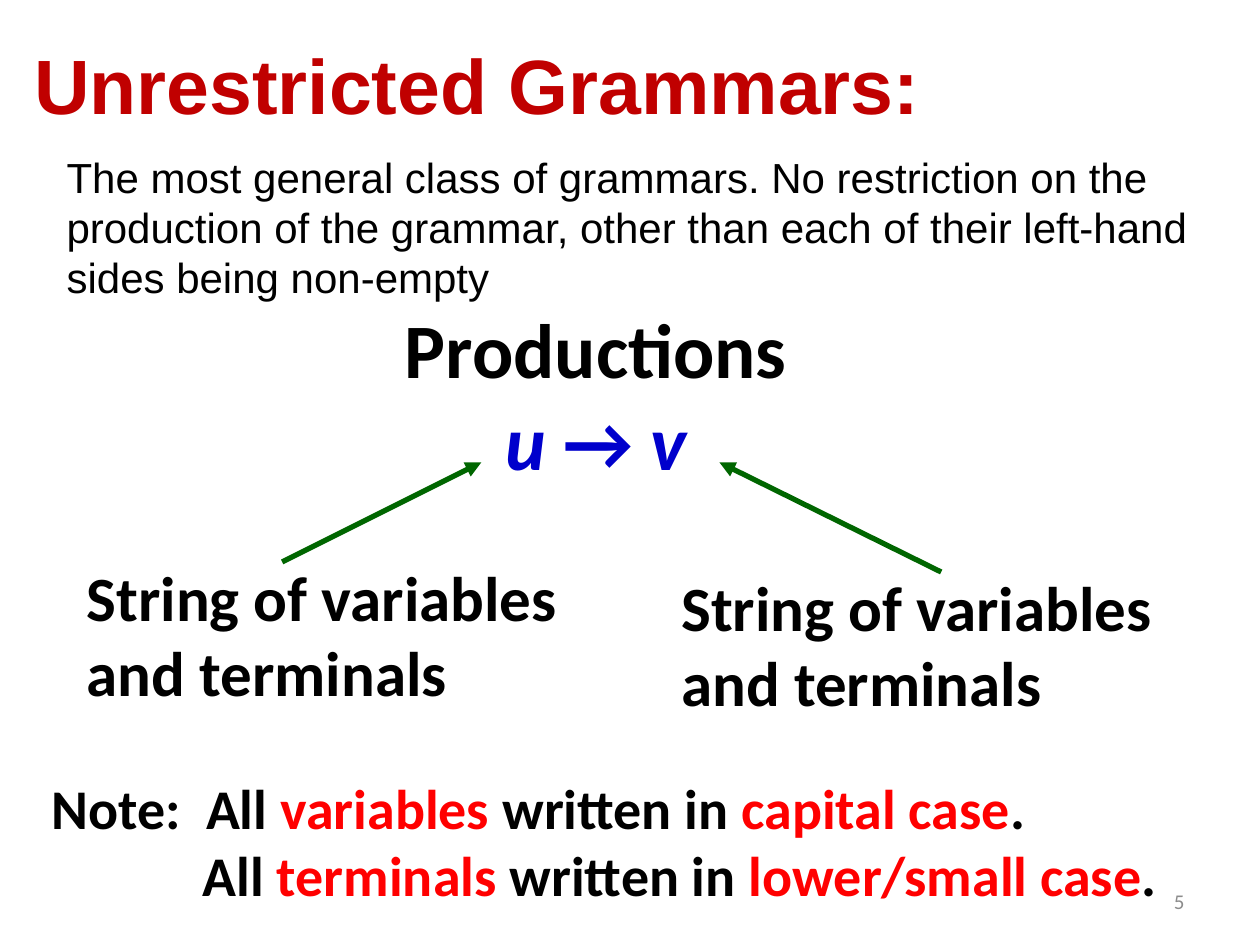
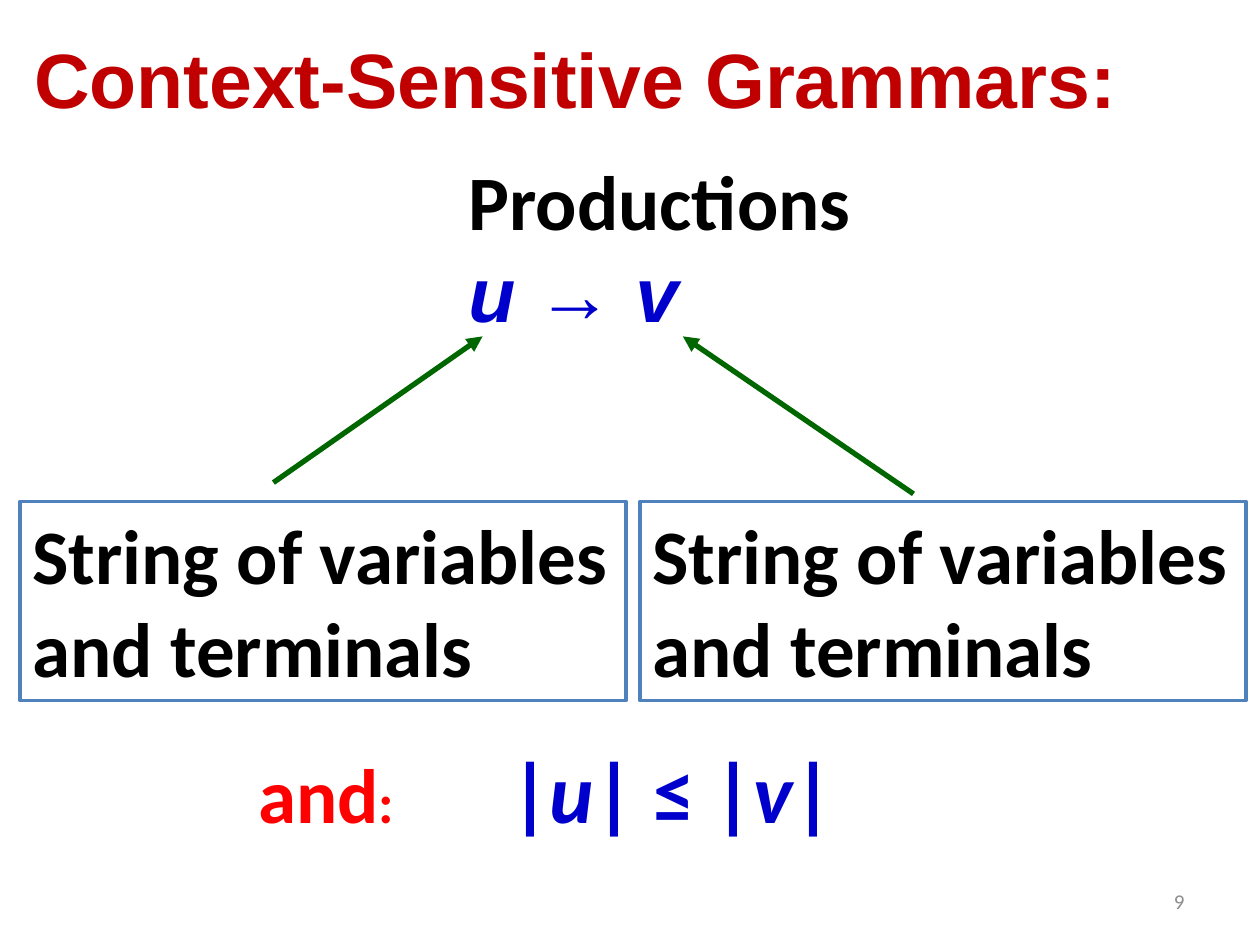
"""Build two slides on unrestricted and context-sensitive grammars."""
import pptx
import pptx.dml.color
import pptx.enum.shapes
import pptx.enum.text
import pptx.oxml
import pptx.util

deck = pptx.Presentation()
deck.slide_width = pptx.util.Inches(10)
deck.slide_height = pptx.util.Inches(7.5)
COLUMN = deck.slide_width / 100
ROW = deck.slide_height / 75

BLACK, RED, BLUE = "000000", "FF0000", "0000CC"
CRIMSON, GREEN, STEEL, GREY, WHITE = "C00000", "006600", "4F81BD", "8C8C8C", "FFFFFF"
LEFT, CENTER, RIGHT = (pptx.enum.text.PP_ALIGN.LEFT, pptx.enum.text.PP_ALIGN.CENTER,
                       pptx.enum.text.PP_ALIGN.RIGHT)
RECTANGLE = pptx.enum.shapes.MSO_SHAPE.RECTANGLE
STRAIGHT = pptx.enum.shapes.MSO_CONNECTOR.STRAIGHT
DRAWING = 'xmlns:a="http://schemas.openxmlformats.org/drawingml/2006/main"'


def colour(hex_string):
    """Turn a hex string into a colour."""
    return pptx.dml.color.RGBColor.from_string(hex_string)


def write(box, place, lines, size, font="Calibri", bold=True, align=LEFT, wrap=False):
    """Place a box and fill it; a span is text, colour, then optional italic, size and font."""
    box.left, box.width = (int(value * COLUMN) for value in place[::2])
    box.top, box.height = (int(value * ROW) for value in place[1::2])
    frame = box.text_frame
    frame.word_wrap = wrap
    frame.auto_size = pptx.enum.text.MSO_AUTO_SIZE.SHAPE_TO_FIT_TEXT
    frame.vertical_anchor = pptx.enum.text.MSO_ANCHOR.TOP
    for number, spans in enumerate(lines):
        para = frame.add_paragraph() if number else frame.paragraphs[0]
        para.alignment = align
        for text, ink, *extra in spans:
            italic, span_size, span_font = extra + [False, size, font][len(extra):]
            span = para.add_run()
            span.text = text
            span.font.size = pptx.util.Pt(span_size)
            span.font.name = span_font
            span.font.bold = bold
            span.font.italic = italic
            span.font.color.rgb = colour(ink)
    return frame


strings = [[("String of variables", BLACK)], [("and terminals", BLACK)]]
slides = [
    {
        "title": "Unrestricted Grammars:", "title_place": (1.7, 2.5, 73, 8.4), "number": "5",
        "rule_place": (31.1, 23.4, 32.4, 15.7), "rule_align": CENTER, "rule_font": "Calibri",
        "arrows": [(22.4, 44.6, 38.2, 36.7), (74.7, 45.4, 57.1, 36.7)],
        "strings": [(5.9, 43.8, 39.4, 13.1), (53.1, 44.6, 39.7, 13.1)],
        "strings_size": 36, "framed": False,
    },
    {
        "title": "Context-Sensitive Grammars:", "title_place": (1.7, 2, 88.8, 8.4), "number": "9",
        "rule_place": (36.2, 11.7, 32.7, 15.8), "rule_align": LEFT, "rule_font": "Arial",
        "arrows": [(21.7, 38.3, 38.3, 26.7), (72.5, 39.2, 54.2, 26.7)],
        "strings": [(1.6, 39.8, 48.1, 15.8), (50.8, 39.8, 48.1, 15.8)],
        "strings_size": 44, "framed": True,
    },
]

pages = []
for content in slides:
    page = deck.slides.add_slide(deck.slide_layouts[5])
    pages.append(page)
    write(page.shapes.title, content["title_place"], [[(content["title"], CRIMSON)]], 44, "Arial")

    number_box = page.shapes.add_textbox(0, 0, 0, 0)
    frame = write(number_box, (71.7, 69.5, 23.3, 4), [[(content["number"], GREY)]], 12,
                  bold=False, align=RIGHT, wrap=True)
    frame.auto_size = pptx.enum.text.MSO_AUTO_SIZE.NONE
    frame.vertical_anchor = pptx.enum.text.MSO_ANCHOR.MIDDLE

    font = content["rule_font"]
    rule = [("u ", BLUE, True, 44, font), ("→ ", BLUE, False, 44, font), ("v", BLUE, True, 44, font)]
    write(page.shapes.add_textbox(0, 0, 0, 0), content["rule_place"],
          [[("Productions", BLACK)], rule], 44, align=content["rule_align"])

    for start_x, start_y, end_x, end_y in content["arrows"]:
        arrow = page.shapes.add_connector(STRAIGHT, int(start_x * COLUMN), int(start_y * ROW),
                                          int(end_x * COLUMN), int(end_y * ROW))
        arrow.line.color.rgb = colour(GREEN)
        arrow.line.width = pptx.util.Pt(3)
        arrow.line._get_or_add_ln().append(
            pptx.oxml.parse_xml(f'<a:tailEnd {DRAWING} type="triangle"/>'))
        arrow._element.spPr.append(pptx.oxml.parse_xml(f"<a:effectLst {DRAWING}/>"))

    for place in content["strings"]:
        if content["framed"]:
            box = page.shapes.add_shape(RECTANGLE, 0, 0, 0, 0)
            box.shadow.inherit = False
            box.fill.solid()
            box.fill.fore_color.rgb = colour(WHITE)
            box.line.color.rgb = colour(STEEL)
            box.line.width = pptx.util.Pt(2)
        else:
            box = page.shapes.add_textbox(0, 0, 0, 0)
        write(box, place, strings, content["strings_size"])

unrestricted, sensitive = pages
note = [
    [("Note:  All ", BLACK), ("variables", RED), (" written in ", BLACK),
     ("capital case", RED), (".", BLACK)],
    [("All ", BLACK), ("terminals", RED), (" written in ", BLACK),
     ("lower/small case", RED), (".", BLACK)],
]
frame = write(unrestricted.shapes.add_textbox(0, 0, 0, 0), (3.1, 60.9, 90.7, 11.8), note, 32)
frame.paragraphs[1]._p.get_or_add_pPr().set("marL", str(int(12 * COLUMN)))

definition = ("The most general class of grammars. No restriction on the production of the grammar, "
              "other than each of their left-hand sides being non-empty")
write(unrestricted.shapes.add_textbox(0, 0, 0, 0), (4.3, 11.5, 92.9, 13.1),
      [[(definition, BLACK)]], 24, "Arial", bold=False, wrap=True)

condition = [("and", RED), (":\t", RED, False, 32), ("|", BLUE, False, 48), ("u", BLUE, True, 48),
             ("| ≤ |", BLUE, False, 48), ("v", BLUE, True, 48), ("|", BLUE, False, 48)]
frame = write(sensitive.shapes.add_textbox(0, 0, 0, 0), (19.5, 58.2, 48.4, 14.5), [condition], 44)
frame.paragraphs[0]._p.get_or_add_pPr().append(pptx.oxml.parse_xml(
    f'<a:tabLst {DRAWING}><a:tab pos="{int(20 * COLUMN)}" algn="l"/></a:tabLst>'))

deck.save("out.pptx")
